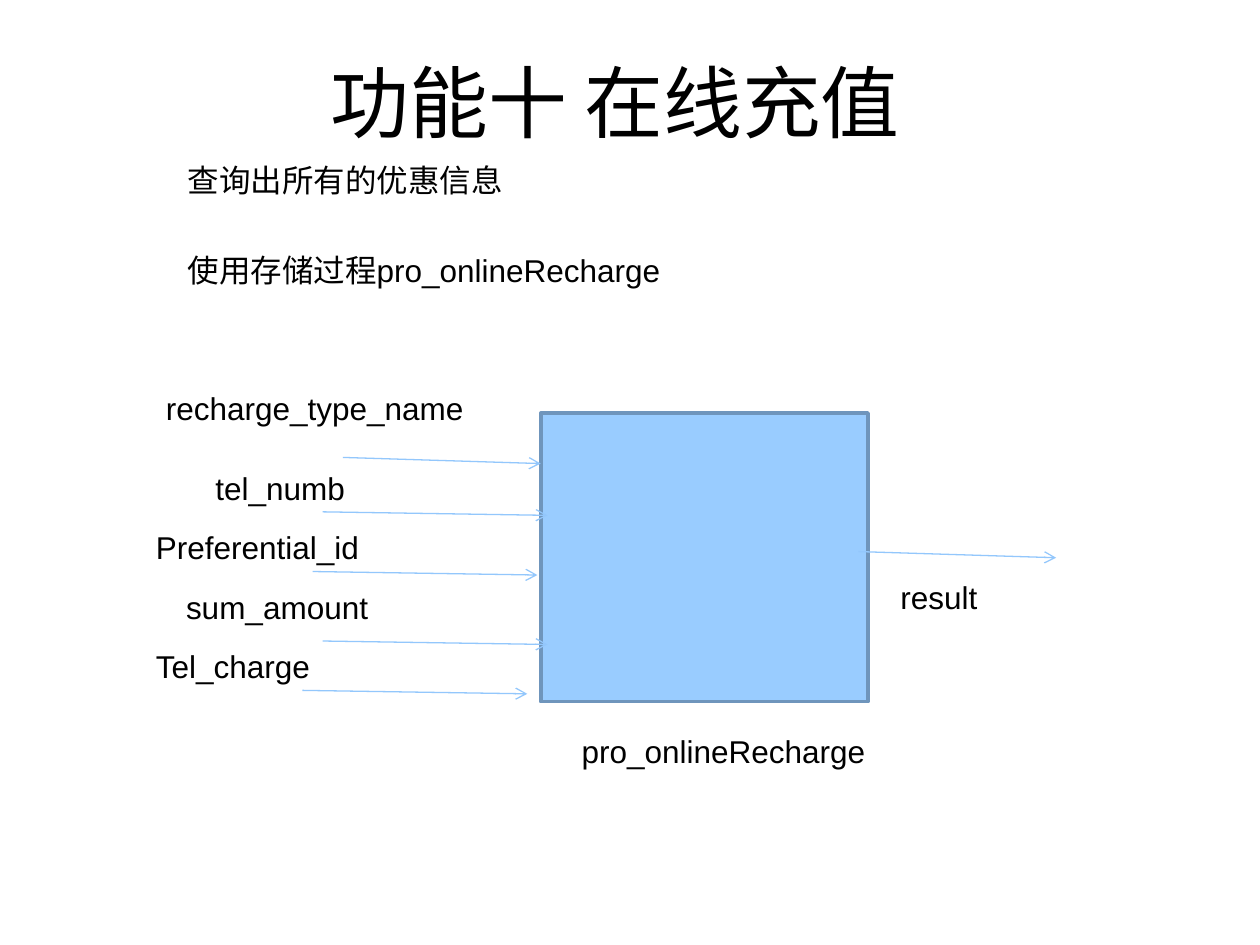
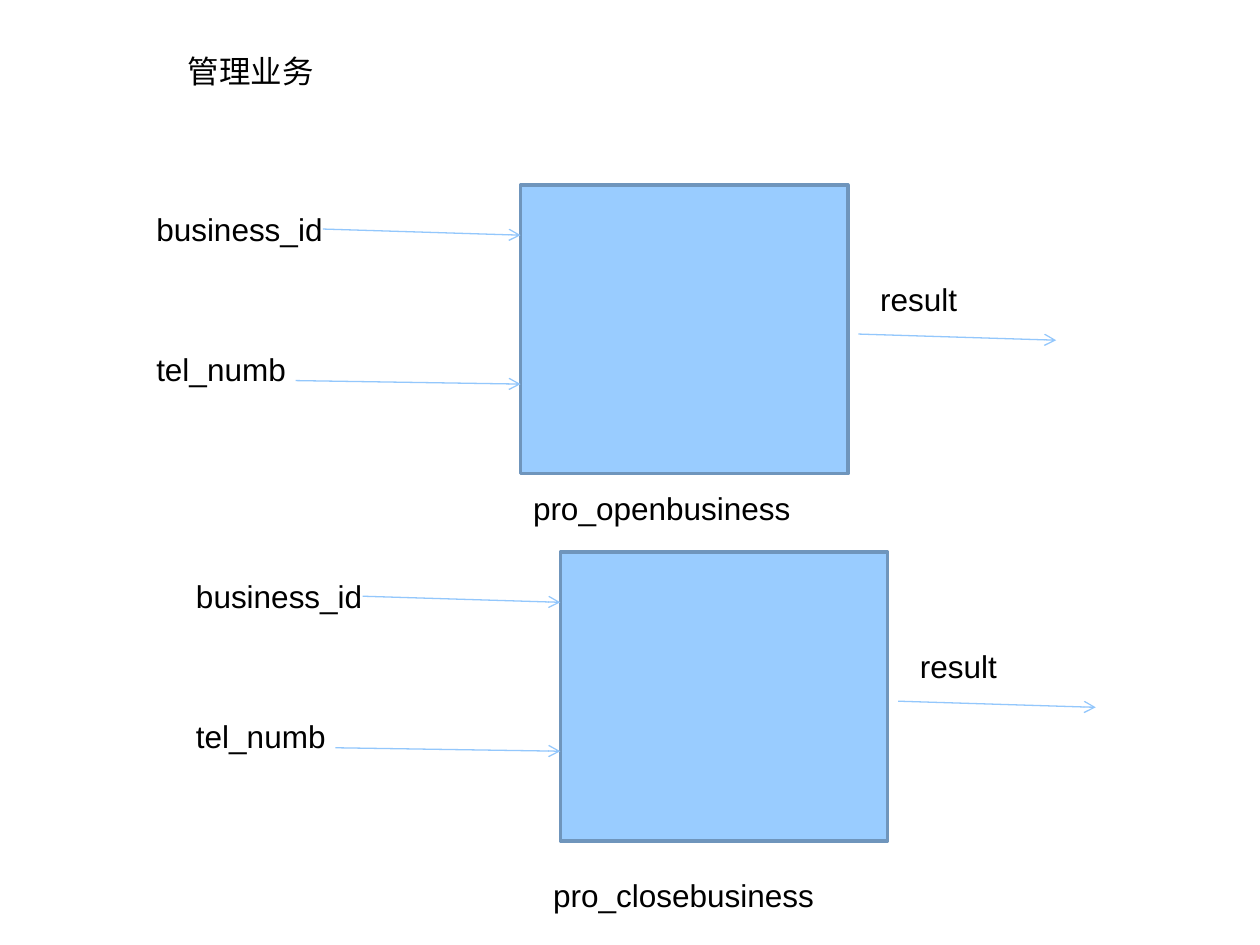
from dataclasses import dataclass

from lxml.etree import SubElement
from pptx import Presentation
from pptx.dml.color import RGBColor
from pptx.enum.shapes import MSO_CONNECTOR, MSO_SHAPE
from pptx.enum.text import MSO_ANCHOR, MSO_AUTO_SIZE, PP_ALIGN
from pptx.oxml.ns import qn
from pptx.util import Pt


@dataclass(frozen=True)
class Theme:
    font: str = "Arial"
    title_size: float = 45
    text_size: float = 18
    text: RGBColor = RGBColor(0x00, 0x00, 0x00)
    box_fill: RGBColor = RGBColor(0x99, 0xCC, 0xFF)
    box_line: RGBColor = RGBColor(0x6F, 0x95, 0xBC)
    arrow: RGBColor = RGBColor(0x93, 0xC7, 0xFC)


BOX_W, BOX_H = 187, 165
LABEL_H = 29
SHORT, LONG = (113, 3.5), (128.5, 2)  # run and drop of an arrow


class Deck:
    def __init__(self, theme):
        self.theme = theme
        self.prs = Presentation()
        self.prs.slide_width, self.prs.slide_height = Pt(720), Pt(540)
        self.s = None

    def new_slide(self):
        self.s = self.prs.slides.add_slide(self.prs.slide_layouts[1])

    def place(self, sp, x, y, w, h):
        sp.left, sp.top, sp.width, sp.height = Pt(x), Pt(y), Pt(w), Pt(h)

    def add_text(self, p, text, size):
        r = p.add_run()
        r.text = text
        r.font.name, r.font.size = self.theme.font, Pt(size)
        r.font.color.rgb = self.theme.text

    def title(self, text=None):
        """Fill the title, or remove it from a slide without one."""
        sp = self.s.shapes.title
        if text is None:
            sp._element.getparent().remove(sp._element)
            return
        self.place(sp, 32.5, 38, 638, 50.5)
        tf = sp.text_frame
        tf.auto_size = MSO_AUTO_SIZE.NONE
        tf.vertical_anchor = MSO_ANCHOR.BOTTOM
        p = tf.paragraphs[0]
        p.alignment = PP_ALIGN.CENTER
        self.add_text(p, text, self.theme.title_size)

    def body(self, y, h, lines):
        """Unbulleted lines, each given as (text, space before)."""
        sp = self.s.placeholders[1]
        self.place(sp, 100, y, 570, h)
        tf = sp.text_frame
        tf.auto_size = MSO_AUTO_SIZE.NONE
        for i, (text, gap) in enumerate(lines):
            p = tf.add_paragraph() if i else tf.paragraphs[0]
            p.space_before = Pt(gap)
            pPr = p._p.get_or_add_pPr()
            pPr.set("marL", "0")
            pPr.set("indent", "0")
            SubElement(pPr, qn("a:buNone"))
            self.add_text(p, text, self.theme.text_size)

    def box(self, x, y):
        sp = self.s.shapes.add_shape(
            MSO_SHAPE.RECTANGLE, Pt(x), Pt(y), Pt(BOX_W), Pt(BOX_H))
        sp.shadow.inherit = False
        sp.fill.solid()
        sp.fill.fore_color.rgb = self.theme.box_fill
        sp.line.color.rgb, sp.line.width = self.theme.box_line, Pt(2)

    def label(self, text, x, y, w=190):
        sp = self.s.shapes.add_textbox(Pt(x), Pt(y), Pt(w), Pt(LABEL_H))
        tf = sp.text_frame
        tf.word_wrap = True
        tf.auto_size = MSO_AUTO_SIZE.SHAPE_TO_FIT_TEXT
        self.add_text(tf.paragraphs[0], text, self.theme.text_size)

    def arrow(self, x, y, step):
        dx, dy = step
        line = self.s.shapes.add_connector(
            MSO_CONNECTOR.STRAIGHT, Pt(x), Pt(y), Pt(x + dx), Pt(y + dy))
        line.line.color.rgb, line.line.width = self.theme.arrow, Pt(0.75)
        spPr = line._element.spPr
        SubElement(spPr.find(qn("a:ln")), qn("a:tailEnd"), type="arrow")
        SubElement(spPr, qn("a:effectLst"))


def recharge_slide(deck):
    deck.new_slide()
    deck.title("功能十 在线充值")
    deck.body(88.5, 385, [("查询出所有的优惠信息", 4.5),
                          ("使用存储过程pro_onlineRecharge", 29.7)])
    # Procedure
    deck.box(309, 236)
    deck.label("pro_onlineRecharge", 325.3, 414.7, 194)
    # Inputs: name, label position, arrow start, arrow step
    inputs = [
        ("recharge_type_name", (87.7, 218.8), (196, 261.4), SHORT),
        ("tel_numb", (116, 264.2), (184.4, 292.5), LONG),
        ("Preferential_id", (82, 298.2), (178.6, 326.6), LONG),
        ("sum_amount", (99.2, 332.2), (184.4, 366.3), LONG),
        ("Tel_charge", (82, 366.4), (172.8, 394.5), LONG),
    ]
    for name, label_at, start, step in inputs:
        deck.label(name, *label_at)
        deck.arrow(*start, step)
    # Output
    deck.arrow(490.5, 315.2, SHORT)
    deck.label("result", 507.4, 326.7)


def procedure(deck, x, y, name, name_x, name_y):
    """A business procedure with two inputs and one result."""
    deck.box(x, y)
    deck.label(name, name_x, name_y, 217)
    deck.label("business_id", x - 215.3, y + 10.8, 140)
    deck.arrow(x - SHORT[0], y + 25.2, SHORT)
    deck.label("tel_numb", x - 215.3, y + 90.5, 145)
    deck.arrow(x - LONG[0], y + 111.8, LONG)
    deck.label("result", x + 198.4, y + 50.8)
    deck.arrow(x + 193, y + 85.2, SHORT)


def business_slide(deck):
    deck.new_slide()
    deck.title()
    deck.body(26, 447, [("管理业务", 4.5)])
    procedure(deck, 297.5, 105.7, "pro_openbusiness", 297.5, 275.8)
    procedure(deck, 320.2, 315.5, "pro_closebusiness", 309, 497)


def main():
    deck = Deck(Theme())
    recharge_slide(deck)
    business_slide(deck)
    deck.prs.save("out.pptx")


if __name__ == "__main__":
    main()
